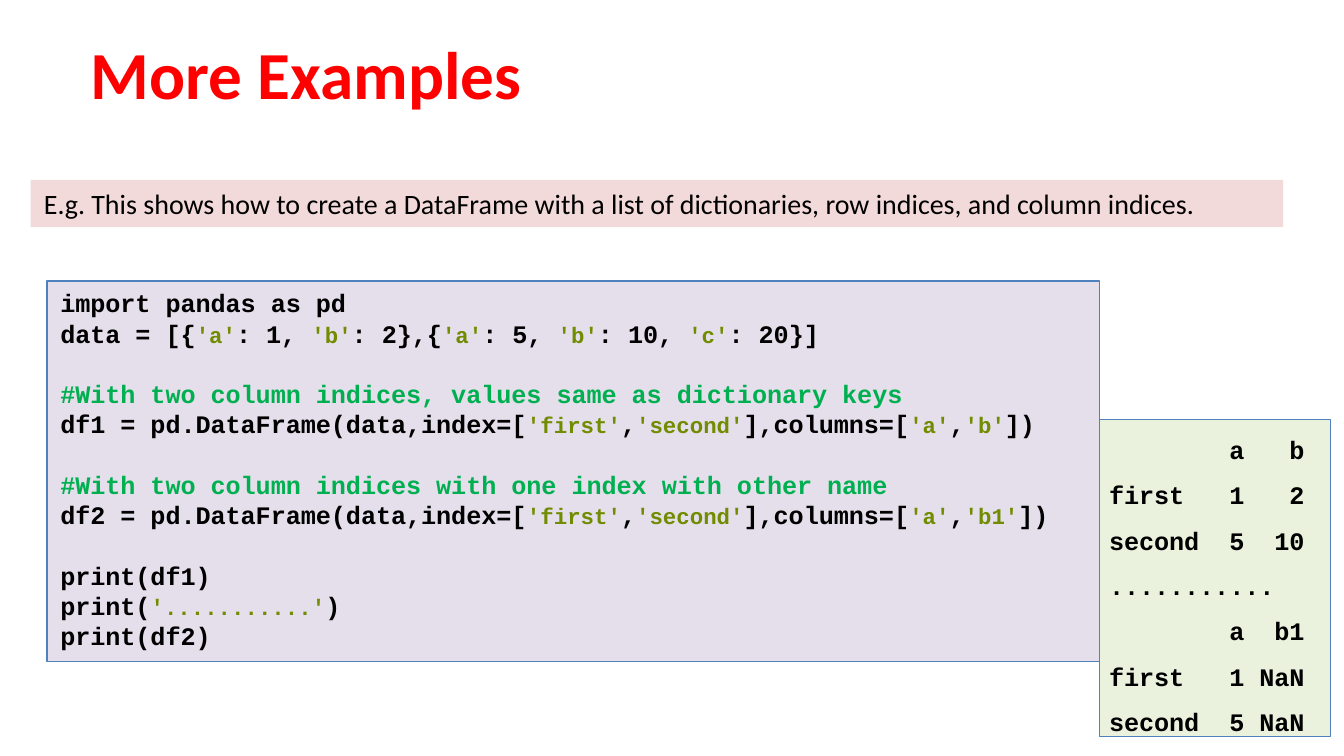
from pptx import Presentation
from pptx.dml.color import RGBColor
from pptx.enum.shapes import MSO_SHAPE as Shape
from pptx.enum.text import MSO_ANCHOR as Anchor, MSO_AUTO_SIZE as AutoSize, PP_ALIGN as Align
from pptx.util import Cm, Pt

RED = RGBColor(0xFF, 0x00, 0x00)
BLACK = RGBColor(0x00, 0x00, 0x00)
GREEN = RGBColor(0x00, 0xB0, 0x50)
OLIVE = RGBColor(0x71, 0x8C, 0x00)
BLUE = RGBColor(0x4F, 0x81, 0xBD)
LILAC = RGBColor(0xE5, 0xDF, 0xEC)
PINK = RGBColor(0xF2, 0xDA, 0xDA)
PALE_GREEN = RGBColor(0xEA, 0xF1, 0xDD)

CODE_FONT, CODE_SIZE, STRING_SIZE = "Courier New", 13.5, 12
BLOCK_GAP = 16.2  # one code line, in points

# Content
TITLE = "More Examples"
INTRO = ("E.g. This shows how to create a DataFrame with a list of dictionaries, "
         "row indices, and column indices.")
CODE_BLOCKS = [
    ["import pandas as pd",
     "data = [{'a': 1, 'b': 2},{'a': 5, 'b': 10, 'c': 20}]"],
    ["#With two column indices, values same as dictionary keys",
     "df1 = pd.DataFrame(data,index=['first','second'],columns=['a','b'])"],
    ["#With two column indices with one index with other name",
     "df2 = pd.DataFrame(data,index=['first','second'],columns=['a','b1'])"],
    ["print(df1)", "print('...........')", "print(df2)"],
]
OUTPUT = [
    "        a   b",
    "first   1   2",
    "second  5  10",
    "...........",
    "        a  b1",
    "first   1 NaN",
    "second  5 NaN",
]


def add_panel(page, left, top, width, height, fill, line=None):
    panel = page.shapes.add_shape(Shape.RECTANGLE, Cm(left), Cm(top), Cm(width), Cm(height))
    panel.shadow.inherit = False
    panel.fill.solid()
    panel.fill.fore_color.rgb = fill
    if line is None:
        panel.line.fill.background()
    else:
        panel.line.color.rgb = line
        panel.line.width = Pt(0.75)
    return panel


def setup_frame(box, anchor=Anchor.TOP, auto_size=AutoSize.SHAPE_TO_FIT_TEXT):
    frame = box.text_frame
    frame.word_wrap = True
    frame.auto_size = auto_size
    frame.vertical_anchor = anchor
    return frame


def add_text(frame, spans, font="Calibri", bold=False, before=0, spacing=1.0):
    """Write one paragraph made of (text, size, colour) spans."""
    first = frame.paragraphs[0]
    para = frame.add_paragraph() if first.runs else first
    para.alignment = Align.LEFT
    para.line_spacing = spacing
    para.space_before = Pt(before)
    for text, size, color in spans:
        span = para.add_run()
        span.text = text
        span.font.name = font
        span.font.size = Pt(size)
        span.font.bold = bold
        span.font.color.rgb = color


def highlight(line):
    """Split a code line into plain, comment and quoted spans."""
    if line.startswith("#"):
        return [(line, CODE_SIZE, GREEN)]
    return [(f"'{part}'", STRING_SIZE, OLIVE) if i % 2 else (part, CODE_SIZE, BLACK)
            for i, part in enumerate(line.split("'"))]


def main():
    deck = Presentation()
    deck.slide_width, deck.slide_height = Cm(25.4), Cm(14.28)
    page = deck.slides.add_slide(deck.slide_layouts[6])

    # Title
    title = page.shapes.add_textbox(Cm(1.47), Cm(0.25), Cm(21.9), Cm(2.24))
    add_text(setup_frame(title, Anchor.MIDDLE, AutoSize.NONE), [(TITLE, 36, RED)], bold=True)

    # Code listing
    listing = setup_frame(add_panel(page, 0.89, 5.31, 19.89, 7.19, LILAC, BLUE))
    for number, block in enumerate(CODE_BLOCKS):
        for row, line in enumerate(block):
            gap = BLOCK_GAP if number and row == 0 else 0
            add_text(listing, highlight(line), font=CODE_FONT, bold=True, before=gap)

    # Introduction
    intro = setup_frame(add_panel(page, 0.58, 3.4, 23.67, 0.89, PINK))
    add_text(intro, [(INTRO, 15, BLACK)])

    # Printed output
    printed = setup_frame(add_panel(page, 20.78, 7.92, 4.37, 5.99, PALE_GREEN, BLUE))
    printed.margin_left = Cm(0.18)
    printed.margin_top = printed.margin_right = printed.margin_bottom = 0
    for line in OUTPUT:
        add_text(printed, [(line, CODE_SIZE, BLACK)], font=CODE_FONT, bold=True, spacing=1.5)

    deck.save("out.pptx")


if __name__ == "__main__":
    main()
